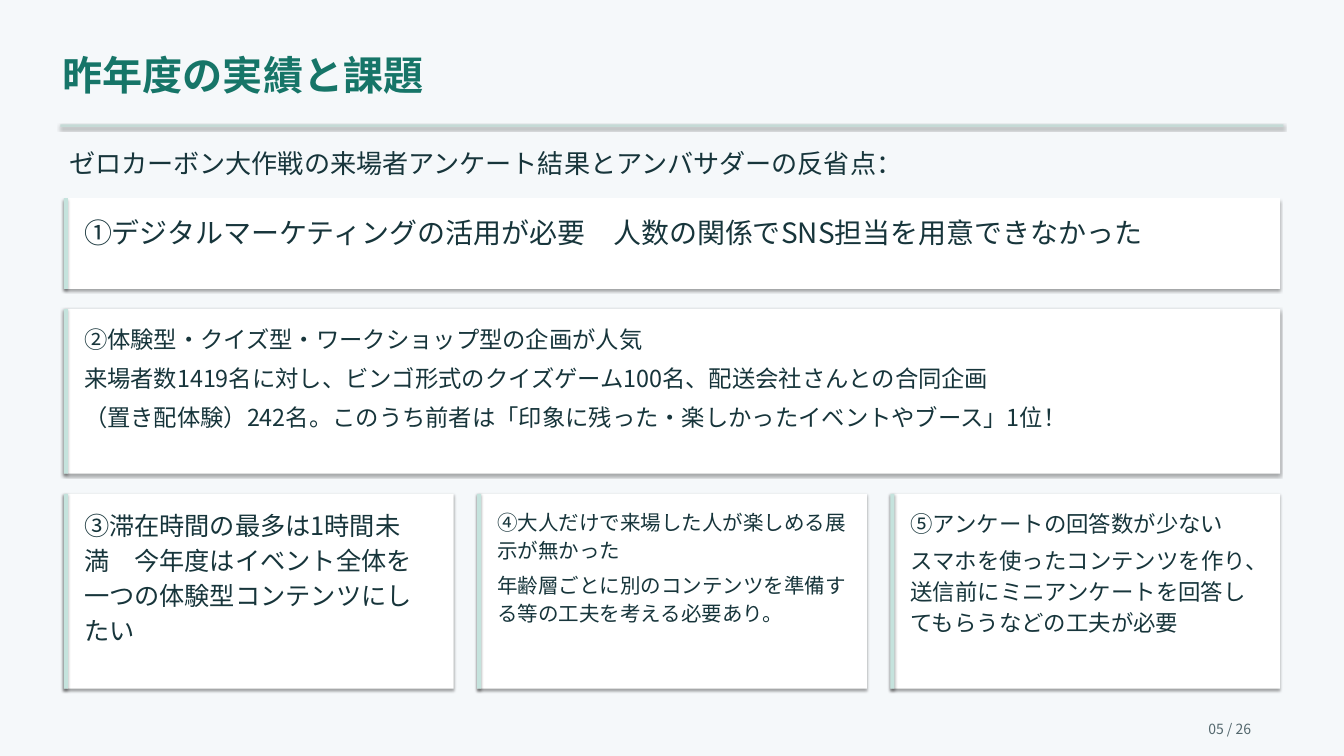
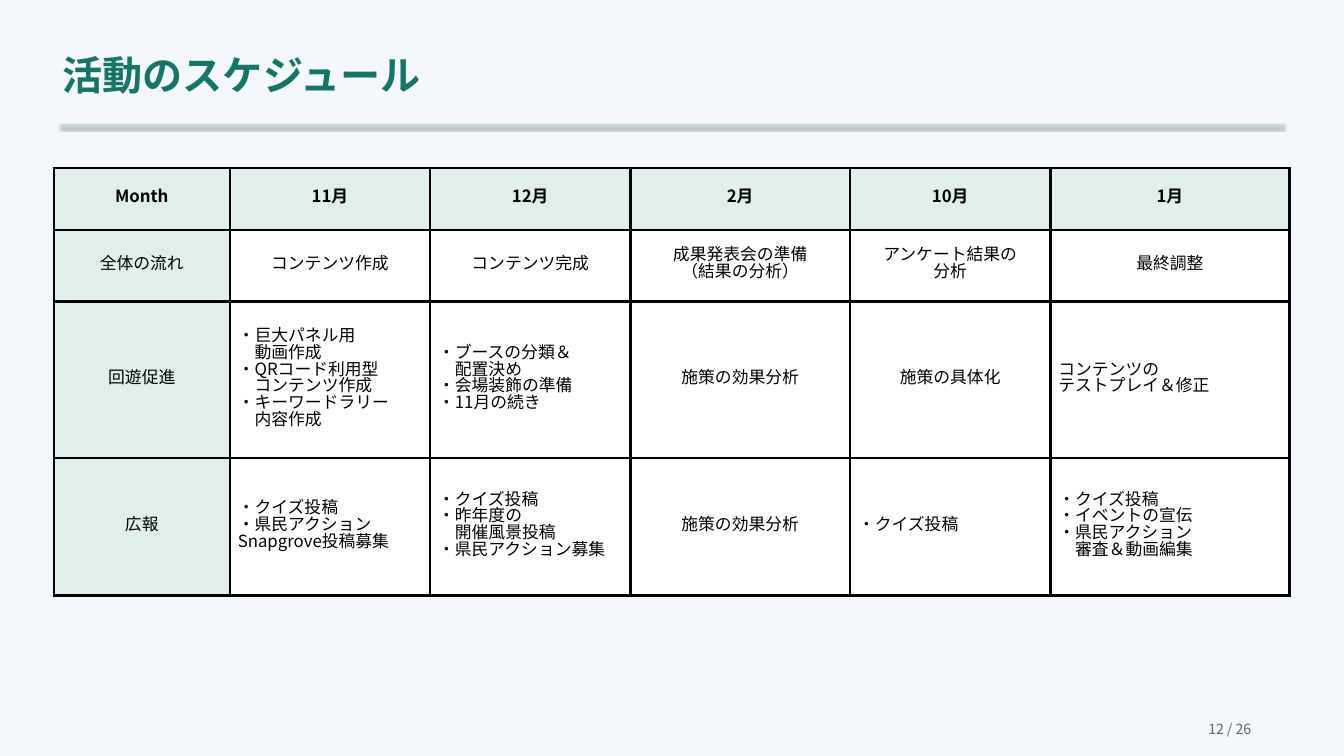
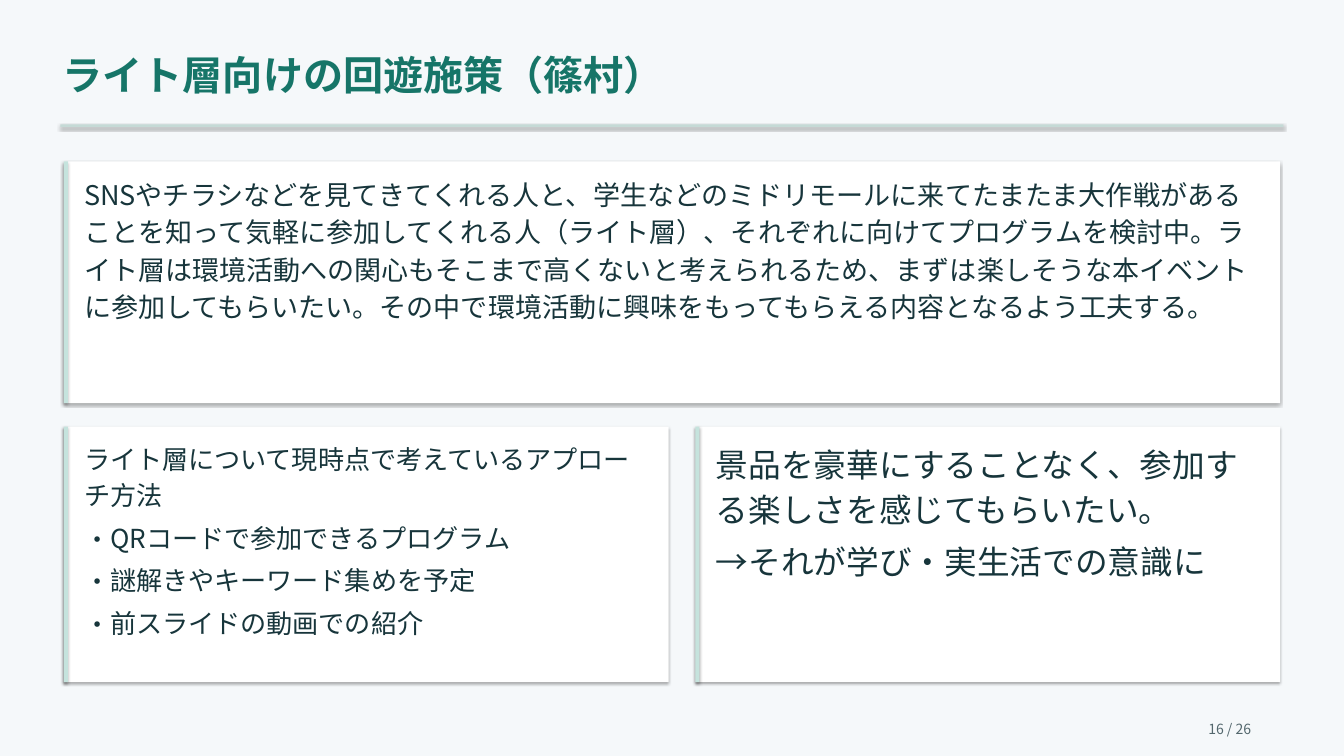
from lxml.etree import SubElement
from pptx import Presentation
from pptx.dml.color import RGBColor
from pptx.enum.shapes import MSO_SHAPE
from pptx.enum.text import MSO_ANCHOR, MSO_AUTO_SIZE, PP_ALIGN
from pptx.oxml.ns import qn
from pptx.util import Pt

# Shared look
FONT, TABLE_FONT = "Noto Sans CJK JP", "Noto Sans CJK SC"
BACK, WHITE, BLACK = "F5F8FA", "FFFFFF", "000000"
GREEN, INK, GRAY = "167568", "17353B", "53676D"
RULE, ACCENT, HEAD = "C5DAD6", "C5E3DD", "E1EFEB"
LEFT, WIDTH = 68.4, 1303.2
BULLET = "・"
TITLE_ONLY, TITLE_AND_BODY = 5, 1


def rgb(value):
    return RGBColor.from_string(value)


def set_bullet(p, size):
    pPr = p._p.get_or_add_pPr()
    pPr.set("marL", str(Pt(size)))
    pPr.set("indent", str(-Pt(size)))
    SubElement(pPr, qn("a:buFont"), typeface=FONT)
    SubElement(pPr, qn("a:buChar"), char=BULLET)


def clear_bullet(p):
    pPr = p._p.get_or_add_pPr()
    pPr.set("marL", "0")
    pPr.set("indent", "0")
    SubElement(pPr, qn("a:buNone"))


def write(tf, text, size=18, color=INK, font=FONT, bold=False,
          align=PP_ALIGN.LEFT, spacing=1.15, after=7):
    """Fill a frame: a newline starts a paragraph, \\v breaks a line."""
    for i, line in enumerate(text.split("\n")):
        p = tf.paragraphs[0] if i == 0 else tf.add_paragraph()
        if line.startswith(BULLET):
            set_bullet(p, size)
        else:
            clear_bullet(p)
        p.text = line.removeprefix(BULLET)
        p.alignment, p.line_spacing = align, spacing
        p.space_before, p.space_after = Pt(0), Pt(after)
        for r in p.runs:
            r.font.size, r.font.bold, r.font.name = Pt(size), bold, font
            r.font.color.rgb = rgb(color)
            SubElement(r._r.get_or_add_rPr(), qn("a:ea"), typeface=font)


def place_text(sp, x, y, w, h, text, **style):
    sp.left, sp.top, sp.width, sp.height = Pt(x), Pt(y), Pt(w), Pt(h)
    tf = sp.text_frame
    tf.word_wrap, tf.auto_size = True, MSO_AUTO_SIZE.NONE
    tf.vertical_anchor = MSO_ANCHOR.TOP
    tf.margin_left = tf.margin_right = Pt(5.8)
    tf.margin_top = tf.margin_bottom = Pt(2.9)
    write(tf, text, **style)


def add_text(s, x, y, w, h, text, **style):
    sp = s.shapes.add_textbox(Pt(x), Pt(y), Pt(w), Pt(h))
    place_text(sp, x, y, w, h, text, **style)


def add_panel(s, x, y, w, h, color):
    """Plain rectangle with the soft shadow used throughout."""
    sp = s.shapes.add_shape(MSO_SHAPE.RECTANGLE, Pt(x), Pt(y), Pt(w), Pt(h))
    sp.fill.solid()
    sp.fill.fore_color.rgb = rgb(color)
    sp.line.fill.background()
    sp.shadow.inherit = False
    effects = sp._element.spPr.find(qn("a:effectLst"))
    shadow = SubElement(effects, qn("a:outerShdw"), blurRad=str(Pt(3.1)),
                        dist=str(Pt(1.8)), dir="5400000", rotWithShape="0")
    tone = SubElement(shadow, qn("a:srgbClr"), val=BLACK)
    SubElement(tone, qn("a:alpha"), val="35000")


def add_card(s, x, y, w, h, text, size, body=None):
    """White card with an accent edge; a body placeholder may hold its text."""
    add_panel(s, x, y, w, h, WHITE)
    add_panel(s, x, y, 4.3, h, ACCENT)
    box = x + 15.8, y + 10.1, w - 31.6, h - 20.2
    if body is None:
        add_text(s, *box, text, size=size)
    else:
        s.shapes._spTree.append(body._element)  # bring in front of the card
        place_text(body, *box, text, size=size)


def add_slide(prs, title, page, layout=TITLE_ONLY):
    s = prs.slides.add_slide(prs.slide_layouts[layout])
    place_text(s.shapes.title, 61.2, 43.2, 1317.6, 72, title,
               size=43, color=GREEN, bold=True)
    add_panel(s, 64.8, 133.2, 1310.4, 2.9, RULE)
    add_text(s, 1288.8, 766.8, 86.4, 21.6, f"{page:02} / 26", size=15, color=GRAY)
    return s


# Table
def format_cell(cell, text, fill, bold, align):
    cell.fill.solid()
    cell.fill.fore_color.rgb = rgb(fill)
    cell.vertical_anchor = MSO_ANCHOR.MIDDLE
    cell.margin_left = cell.margin_right = Pt(8.6)
    cell.margin_top = cell.margin_bottom = 0
    write(cell.text_frame, text, color=BLACK, font=TABLE_FONT, bold=bold,
          align=align, spacing=Pt(18), after=0)
    tcPr = cell._tc.get_or_add_tcPr()
    for i, side in enumerate(("lnL", "lnR", "lnT", "lnB")):
        ln = SubElement(tcPr, qn(f"a:{side}"), w=str(Pt(3)))
        SubElement(SubElement(ln, qn("a:solidFill")), qn("a:srgbClr"), val=BLACK)
        tcPr.insert(i, ln)  # borders come before the fill


def add_schedule(s, x, y, widths, heights, rows, justified):
    frame = s.shapes.add_table(len(rows), len(widths), Pt(x), Pt(y),
                               Pt(sum(widths)), Pt(sum(heights)))
    table = frame.table
    table.first_row = table.horz_banding = False
    for column, w in zip(table.columns, widths):
        column.width = Pt(w)
    for row, h in zip(table.rows, heights):
        row.height = Pt(h)
    for i, row in enumerate(rows):
        for j, text in enumerate(row):
            if (i, j) == justified:
                align = PP_ALIGN.JUSTIFY
            else:
                align = PP_ALIGN.LEFT if BULLET in text else PP_ALIGN.CENTER
            fill = HEAD if i == 0 or j == 0 else WHITE
            format_cell(table.cell(i, j), text, fill, i == 0, align)


# Slides
def results_slide(prs):
    s = add_slide(prs, "昨年度の実績と課題", 5)
    add_text(s, LEFT, 149.8, 1296, 50.4,
             "ゼロカーボン大作戦の来場者アンケート結果とアンバサダーの反省点：", size=28)
    add_card(s, LEFT, 212.4, WIDTH, 97.2,
             "①デジタルマーケティングの活用が必要　人数の関係でSNS担当を用意できなかった", 30)
    add_card(s, LEFT, 331.2, WIDTH, 176.4,
             "②体験型・クイズ型・ワークショップ型の企画が人気\n"
             "来場者数1419名に対し、ビンゴ形式のクイズゲーム100名、配送会社さんとの合同企画\n"
             "（置き配体験）242名。このうち前者は「印象に残った・楽しかったイベントやブース」1位！", 25)
    gap = 25.2
    w = (WIDTH - 2 * gap) / 3
    issues = [
        ("③滞在時間の最多は1時間未満　今年度はイベント全体を"
         "一つの体験型コンテンツにしたい", 27),
        ("④大人だけで来場した人が楽しめる展示が無かった\n"
         "年齢層ごとに別のコンテンツを準備する等の工夫を考える必要あり。", 22),
        ("⑤アンケートの回答数が少ない\nスマホを使ったコンテンツを作り、"
         "送信前にミニアンケートを回答してもらうなどの工夫が必要", 24),
    ]
    for i, (text, size) in enumerate(issues):
        add_card(s, LEFT + i * (w + gap), 529.2, w, 208.8, text, size)


def schedule_slide(prs):
    s = add_slide(prs, "活動のスケジュール", 12)
    rows = [
        ["Month", "11月", "12月", "2月", "10月", "1月"],
        ["全体の流れ", "コンテンツ作成", "コンテンツ完成",
         "成果発表会の準備\n（結果の分析）", "アンケート結果の\n分析", "最終調整"],
        ["回遊促進",
         "・巨大パネル用\v動画作成\n・QRコード利用型\vコンテンツ作成\n"
         "・キーワードラリー\v内容作成",
         "・ブースの分類＆\v配置決め\n・会場装飾の準備\n・11月の続き",
         "施策の効果分析", "施策の具体化", "コンテンツの\nテストプレイ＆修正"],
        ["広報",
         "・クイズ投稿\n・県民アクション\nSnapgrove投稿募集",
         "・クイズ投稿\n・昨年度の\v開催風景投稿\n・県民アクション募集",
         "施策の効果分析", "・クイズ投稿",
         "・クイズ投稿\n・イベントの宣伝\n・県民アクション\v審査＆動画編集"],
    ]
    add_schedule(s, 57.6, 180, [188.6, 214.6, 214.6, 235.4, 214.6, 256.3],
                 [66.2, 77, 167.8, 146.9], rows, justified=(2, 5))


def approach_slide(prs):
    s = add_slide(prs, "ライト層向けの回遊施策（篠村）", 16, TITLE_AND_BODY)
    add_card(s, LEFT, 172.8, WIDTH, 259.2,
             "SNSやチラシなどを見てきてくれる人と、学生などのミドリモールに来てたまたま"
             "大作戦があることを知って気軽に参加してくれる人（ライト層）、それぞれに向けて"
             "プログラムを検討中。ライト層は環境活動への関心もそこまで高くないと考えられる"
             "ため、まずは楽しそうな本イベントに参加してもらいたい。その中で環境活動に興味を"
             "もってもらえる内容となるよう工夫する。", 29)
    top, h, left_w, gap = 457.2, 273.6, 648, 28.8
    add_card(s, LEFT, top, left_w, h,
             "ライト層について現時点で考えているアプローチ方法\n"
             "・QRコードで参加できるプログラム\n"
             "・謎解きやキーワード集めを予定\n"
             "・前スライドの動画での紹介", 28, body=s.placeholders[1])
    add_card(s, LEFT + left_w + gap, top, WIDTH - left_w - gap, h,
             "景品を豪華にすることなく、参加する楽しさを感じてもらいたい。\n"
             "→それが学び・実生活での意識に", 35)


def main():
    prs = Presentation()
    prs.slide_width, prs.slide_height = Pt(1440), Pt(810)
    fill = prs.slide_master.background.fill
    fill.solid()
    fill.fore_color.rgb = rgb(BACK)
    results_slide(prs)
    schedule_slide(prs)
    approach_slide(prs)
    prs.save("out.pptx")


if __name__ == "__main__":
    main()
